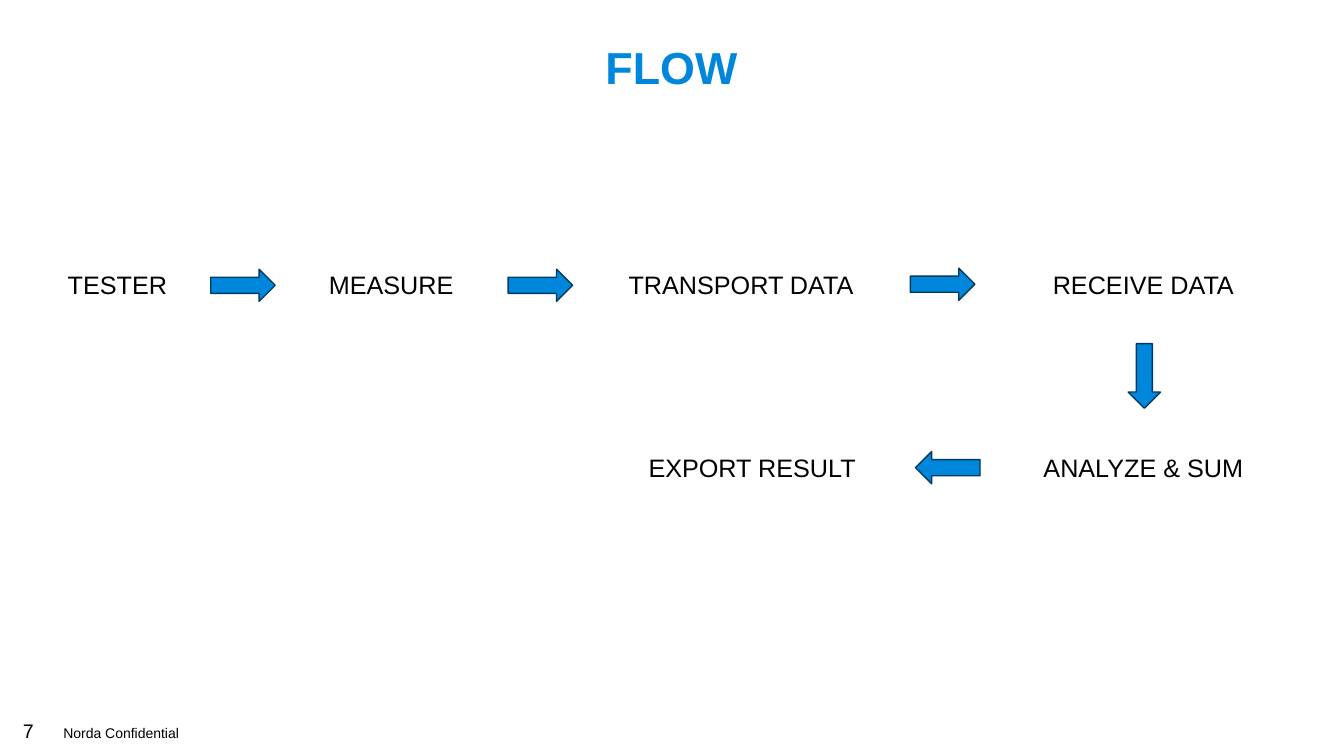
from pptx import Presentation
from pptx.dml.color import RGBColor
from pptx.enum.shapes import MSO_SHAPE
from pptx.enum.text import MSO_ANCHOR, PP_ALIGN
from pptx.util import Inches, Pt

TITLE = "FLOW"
PAGE_NUMBER = "7"
FOOTER = "Norda Confidential"

TOP_ROW, BOTTOM_ROW = 2.62, 4.44
STEPS = [
    ("TESTER", 0.51, TOP_ROW, 1.31),
    ("MEASURE", 3.16, TOP_ROW, 1.44),
    ("TRANSPORT DATA", 5.94, TOP_ROW, 2.82),
    ("RECEIVE DATA", 9.93, TOP_ROW, 2.82),
    ("ANALYZE & SUM", 9.93, BOTTOM_ROW, 2.82),
    ("EXPORT RESULT", 6.05, BOTTOM_ROW, 2.82),
]
ARROWS = [
    (2.09, 2.67, 0),
    (5.04, 2.67, 0),
    (9.03, 2.66, 0),
    (11.03, 3.57, 90),
    (9.08, 4.48, 180),
]
STEP_HEIGHT = 0.4
ARROW_WIDTH, ARROW_HEIGHT = 0.64, 0.32

THEME = {
    "font": "Arial",
    "text": RGBColor.from_string("000000"),
    "accent": RGBColor.from_string("0087DC"),
    "outline": RGBColor.from_string("003B60"),
    "title_size": 32,
    "step_size": 18,
    "number_size": 14,
    "footer_size": 10,
}


def add_text(page, text, left, top, width, height, *, size, color=THEME["text"],
             bold=False, align=PP_ALIGN.LEFT, side_inset=0.1, line_spacing=1.0):
    box = page.shapes.add_textbox(Inches(left), Inches(top), Inches(width), Inches(height))
    frame = box.text_frame
    frame.word_wrap = True
    frame.vertical_anchor = MSO_ANCHOR.TOP
    frame.margin_left = frame.margin_right = Inches(side_inset)
    para = frame.paragraphs[0]
    para.alignment = align
    para.line_spacing = line_spacing
    span = para.add_run()
    span.text = text
    span.font.name = THEME["font"]
    span.font.size = Pt(size)
    span.font.bold = bold
    span.font.color.rgb = color


def add_arrow(page, left, top, rotation):
    arrow = page.shapes.add_shape(MSO_SHAPE.RIGHT_ARROW, Inches(left), Inches(top),
                                  Inches(ARROW_WIDTH), Inches(ARROW_HEIGHT))
    arrow.rotation = rotation
    arrow.shadow.inherit = False
    arrow.fill.solid()
    arrow.fill.fore_color.rgb = THEME["accent"]
    arrow.line.color.rgb = THEME["outline"]
    arrow.line.width = Pt(1)


def main():
    deck = Presentation()
    deck.slide_width, deck.slide_height = Inches(13.33), Inches(7.5)
    page = deck.slides.add_slide(deck.slide_layouts[6])

    add_text(page, PAGE_NUMBER, 0.13, 7.08, 0.44, 0.34, size=THEME["number_size"])
    add_text(page, FOOTER, 0.53, 7.14, 1.6, 0.27, size=THEME["footer_size"])
    add_text(page, TITLE, 0.44, 0.41, 12.44, 0.74, size=THEME["title_size"],
             color=THEME["accent"], bold=True, align=PP_ALIGN.CENTER,
             side_inset=0, line_spacing=0.9)
    for label, left, top, width in STEPS:
        add_text(page, label, left, top, width, STEP_HEIGHT,
                 size=THEME["step_size"], align=PP_ALIGN.CENTER)
    for left, top, rotation in ARROWS:
        add_arrow(page, left, top, rotation)

    deck.save("out.pptx")


if __name__ == "__main__":
    main()
